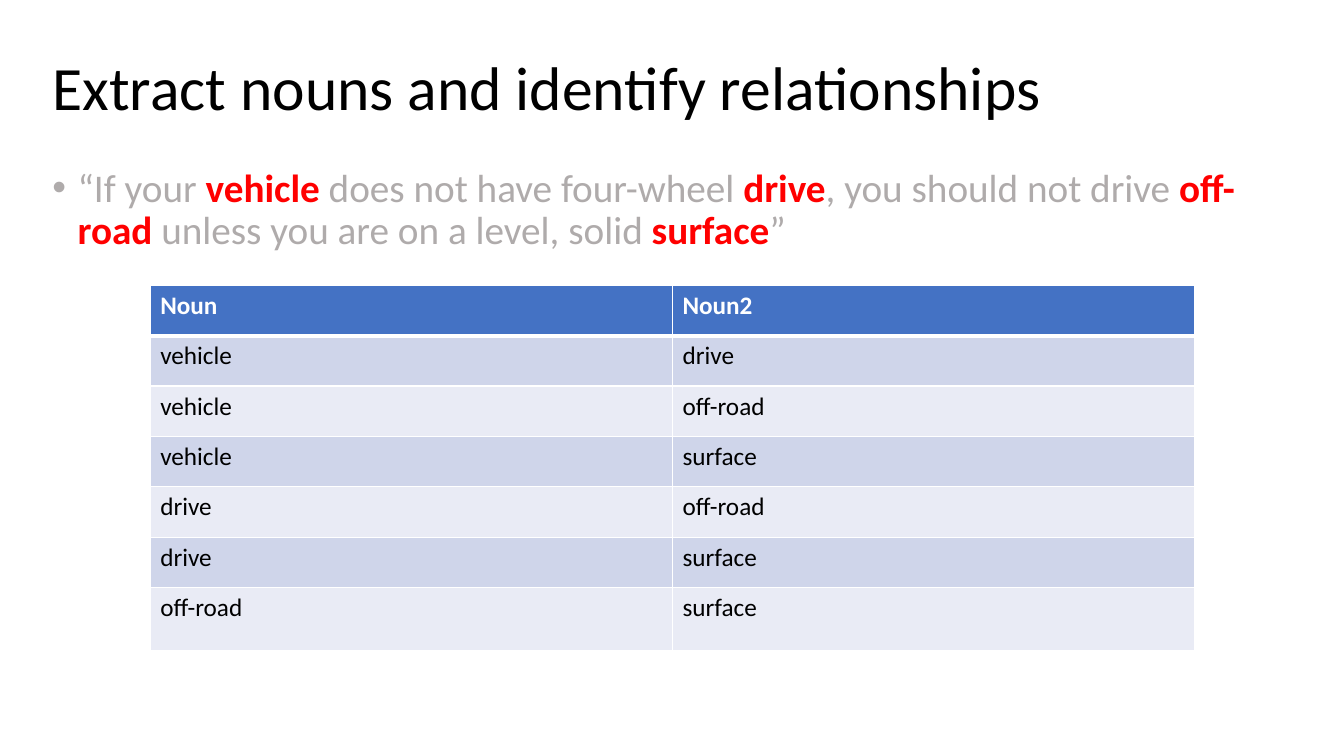
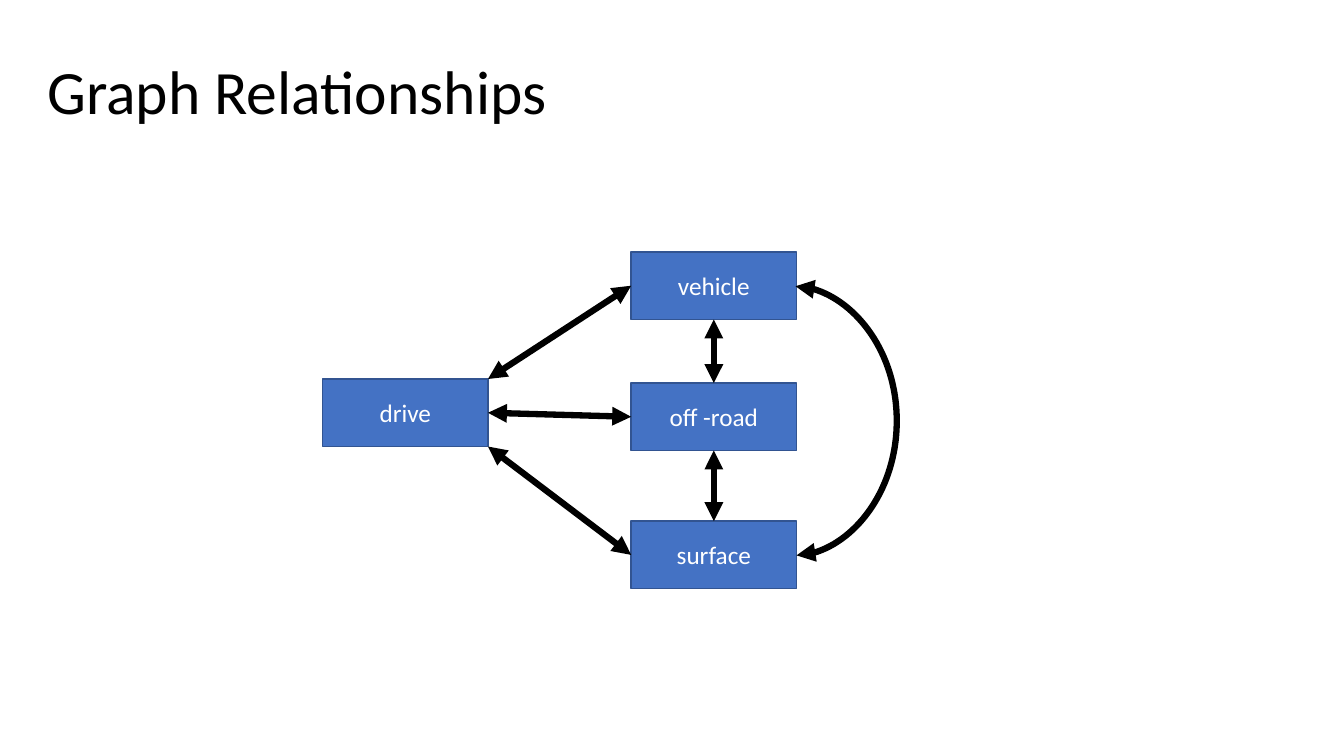
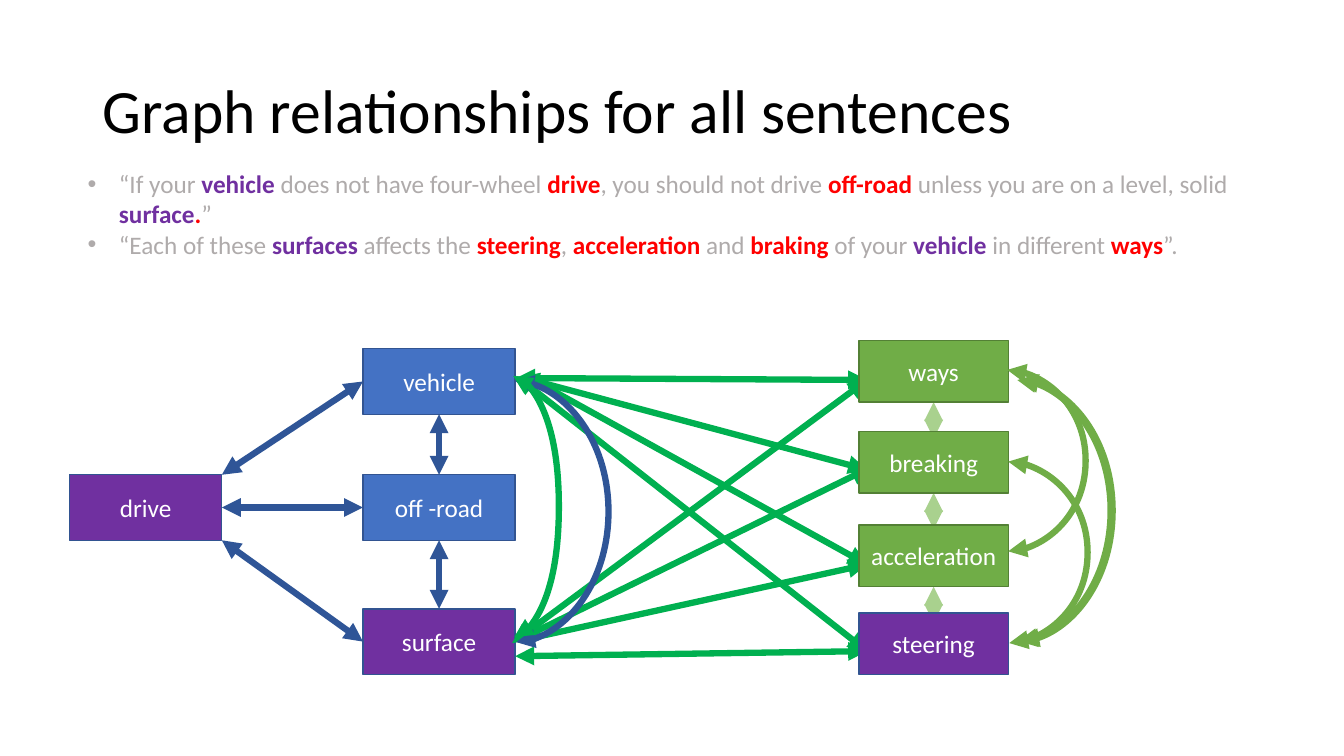
from typing import NamedTuple

from lxml.etree import SubElement
from pptx import Presentation
from pptx.dml.color import RGBColor
from pptx.enum.shapes import MSO_CONNECTOR as Link, MSO_SHAPE as Preset
from pptx.enum.text import MSO_ANCHOR as Anchor, MSO_AUTO_SIZE as AutoSize, PP_ALIGN as Align
from pptx.oxml.ns import qn
from pptx.util import Pt

PX = 9144
FONT = "Calibri"
BLACK, WHITE, GREY, RED = "000000", "FFFFFF", "AFABAB", "FF0000"
BLUE, NAVY, NAVY_EDGE, PURPLE = "4472C4", "2F5597", "325491", "7030A0"
GREEN, LEAF, LEAF_EDGE, PALE_LEAF = "00B050", "70AD47", "538035", "A9D18E"
BANDS = ("E9EBF5", "CFD5EA")
TOP, LEFT, BOTTOM, RIGHT = range(4)
TITLE_ONLY, TITLE_AND_BODY = 5, 1


class Port(NamedTuple):
    """The middle of one side of a node."""
    node: object
    side: int


def px(*lengths):
    """Turn px lengths into EMU."""
    return [length * PX for length in lengths]


def rgb(code):
    """Turn a hex string into a colour."""
    return RGBColor.from_string(code)


def place(shape, left, top, width, height):
    """Move and size a shape."""
    shape.left, shape.top, shape.width, shape.height = px(left, top, width, height)


def add_run(paragraph, text, size, colour, bold=False):
    """Append one formatted run."""
    run = paragraph.add_run()
    run.text = text
    font = run.font
    font.name, font.size, font.bold = FONT, Pt(size), bold
    font.color.rgb = rgb(colour)


def new_slide(deck, layout, title, left, top):
    """Add a slide with its title in the shared style."""
    slide = deck.slides.add_slide(deck.slide_layouts[layout])
    heading = slide.shapes.title
    place(heading, left, top, 1150, 145)
    frame = heading.text_frame
    frame.auto_size, frame.vertical_anchor = AutoSize.NONE, Anchor.MIDDLE
    paragraph = frame.paragraphs[0]
    paragraph.alignment, paragraph.line_spacing = Align.LEFT, 0.9
    add_run(paragraph, title, 44, BLACK)
    return slide


def fill_body(slide, box, sentences, size, indent, spacing, before):
    """Write bulleted sentences whose coloured words are bold."""
    body = slide.placeholders[1]
    place(body, *box)
    frame = body.text_frame
    frame.auto_size, frame.vertical_anchor = AutoSize.NONE, Anchor.TOP
    for index, sentence in enumerate(sentences):
        paragraph = frame.add_paragraph() if index else frame.paragraphs[0]
        paragraph.line_spacing, paragraph.space_before = spacing, Pt(before)
        margins = paragraph._p.get_or_add_pPr()
        margins.set("marL", str(indent * PX))
        margins.set("indent", str(-indent * PX))
        for text, colour in sentence:
            add_run(paragraph, text, size, colour, colour != GREY)


def off_road_sentence(shared_colour, stop=()):
    """Give the first sentence, with the colour of its shared nouns."""
    return [("“If your ", GREY), ("vehicle", shared_colour),
            (" does not have four-wheel ", GREY), ("drive", RED),
            (", you should not drive ", GREY), ("off-road", RED),
            (" unless you are on a level, solid ", GREY),
            ("surface", shared_colour), *stop, ("”", GREY)]


def add_borders(cell, widths):
    """Draw white borders of the given widths in points."""
    properties = cell._tc.get_or_add_tcPr()
    for side, width in zip("LRTB", widths):
        border = SubElement(properties, qn(f"a:ln{side}"), w=str(Pt(width)))
        solid = SubElement(border, qn("a:solidFill"))
        SubElement(solid, qn("a:srgbClr"), val=WHITE)


def add_noun_table(slide, pairs, left, top, column_width, heights):
    """Add the banded table of noun pairs."""
    table = slide.shapes.add_table(
        len(pairs), 2, *px(left, top, 2 * column_width, sum(heights))).table
    for column in table.columns:
        column.width = column_width * PX
    for index, (pair, height) in enumerate(zip(pairs, heights)):
        table.rows[index].height = height * PX
        header = index == 0
        for cell, noun in zip(table.rows[index].cells, pair):
            add_borders(cell, (1, 1, 3 if index == 1 else 1, 3 if header else 1))
            cell.fill.solid()
            cell.fill.fore_color.rgb = rgb(BLUE if header else BANDS[index % 2])
            add_run(cell.text_frame.paragraphs[0], noun, 18,
                    WHITE if header else BLACK, header)


def add_node(slide, noun, box, fill=BLUE, edge=NAVY_EDGE):
    """Add a rectangle that holds a noun."""
    node = slide.shapes.add_shape(Preset.RECTANGLE, *px(*box))
    node.shadow.inherit = False
    node.fill.solid()
    node.fill.fore_color.rgb = rgb(fill)
    node.line.color.rgb = rgb(edge)
    node.line.width = Pt(1)
    frame = node.text_frame
    frame.vertical_anchor = Anchor.MIDDLE
    frame.paragraphs[0].alignment = Align.CENTER
    add_run(frame.paragraphs[0], noun, 18, WHITE)
    return node


def add_arrow(slide, start, end, colour, kind=Link.STRAIGHT):
    """Add a two-headed arrow between points or ports."""
    points = [(0, 0) if isinstance(stop, Port) else stop for stop in (start, end)]
    arrow = slide.shapes.add_connector(kind, *px(*points[0], *points[1]))
    if isinstance(start, Port):
        arrow.begin_connect(*start)
    if isinstance(end, Port):
        arrow.end_connect(*end)
    arrow.line.color.rgb = rgb(colour)
    arrow.line.width = Pt(4.5)
    properties = arrow._element.spPr
    line = properties.find(qn("a:ln"))
    for tip in ("a:headEnd", "a:tailEnd"):
        SubElement(line, qn(tip), type="triangle")
    SubElement(properties, qn("a:effectLst"))
    return arrow


def add_arc(slide, left, top, height, bulge, colour):
    """Add a curved arrow that bulges to the right."""
    arc = add_arrow(slide, (left, top), (left + 1, top + height), colour, Link.CURVE)
    guides = arc._element.spPr.find(qn("a:prstGeom")).get_or_add_avLst()
    SubElement(guides, qn("a:gd"), name="adj1", fmla=f"val {bulge * 100000}")


def add_vehicle_graph(slide, size, drive_at, column_left, tops, colour, shared_fill=BLUE):
    """Add the four nouns of the first sentence with their arrows and return surface."""
    fills = (BLUE, BLUE, shared_fill)
    vehicle, off_road, surface = [
        add_node(slide, noun, (column_left, top, *size), fill)
        for noun, top, fill in zip(("vehicle", "off -road", "surface"), tops, fills)]
    drive = add_node(slide, "drive", (*drive_at, *size), shared_fill)
    drive_right, drive_bottom = (at + length for at, length in zip(drive_at, size))
    for start, end in (((drive_right, drive_at[1]), Port(vehicle, LEFT)),
                       (Port(drive, RIGHT), Port(off_road, LEFT)),
                       ((drive_right, drive_bottom), Port(surface, LEFT)),
                       (Port(off_road, TOP), Port(vehicle, BOTTOM)),
                       (Port(surface, TOP), Port(off_road, BOTTOM))):
        add_arrow(slide, start, end, colour)
    return surface


def build_nouns(deck):
    """Build the slide of extracted nouns."""
    slide = new_slide(deck, TITLE_AND_BODY,
                      "Extract nouns and identify relationships", 42, 17)
    fill_body(slide, (42, 162, 1227, 549), [off_road_sentence(RED)], 28, 25, 0.9, 10)
    pairs = [("Noun", "Noun2"), ("vehicle", "drive"), ("vehicle", "off-road"),
             ("vehicle", "surface"), ("drive", "off-road"), ("drive", "surface"),
             ("off-road", "surface")]
    add_noun_table(slide, pairs, 149, 283, 518, [50] * 6 + [62])


def build_graph(deck):
    """Build the graph of one sentence."""
    slide = new_slide(deck, TITLE_ONLY, "Graph Relationships", 37, 21)
    add_vehicle_graph(slide, (164, 67), (320, 376), 626, (250, 380, 517), BLACK)
    add_arc(slide, 789, 284, 267, 102, BLACK)


def build_full_graph(deck):
    """Build the graph that joins both sentences."""
    slide = new_slide(deck, TITLE_AND_BODY,
                      "Graph relationships for all sentences", 92, 40)
    second_sentence = [
        ("“Each of these ", GREY), ("surfaces", PURPLE), (" affects the ", GREY),
        ("steering", RED), (", ", GREY), ("acceleration", RED), (" and ", GREY),
        ("braking", RED), (" of your ", GREY), ("vehicle", PURPLE),
        (" in different ", GREY), ("ways", RED), ("”.", GREY)]
    fill_body(slide, (77, 162, 1238, 131),
              [off_road_sentence(PURPLE, [(".", RED)]), second_sentence], 18, 31, 1.0, 0)
    surface = add_vehicle_graph(slide, (151, 65), (69, 471), 360, (346, 471, 604),
                                NAVY, PURPLE)

    surface_port = Port(surface, RIGHT)
    for start, end in (((511, 651), (860, 646)), (surface_port, (860, 560)),
                       (surface_port, (863, 464)), ((508, 638), (860, 377)),
                       ((512, 375), (860, 377)), ((516, 374), (860, 466)),
                       ((520, 372), (860, 560)), ((512, 373), (860, 646))):
        add_arrow(slide, start, end, GREEN)
    add_arc(slide, 511, 378, 259, 94, NAVY)
    short_arrows = [add_arrow(slide, (926, low), (926, low - 36), PALE_LEAF)
                    for low in (435, 525, 618)]
    add_arc(slide, 1011, 377, 259, 94, LEAF)
    add_arc(slide, 509, 373, 259, 46, GREEN)
    add_arc(slide, 1009, 377, 259, 94, LEAF)

    effects = [add_node(slide, noun, (852, top, 148, 61), LEAF, LEAF_EDGE)
               for noun, top in (("ways", 338), ("breaking", 428), ("acceleration", 521))]
    add_node(slide, "steering", (852, 608, 148, 61), PURPLE)
    for arrow, effect in zip(short_arrows, effects):
        arrow.end_connect(effect, BOTTOM)
    add_arc(slide, 1000, 458, 180, 80, LEAF)
    add_arc(slide, 999, 367, 180, 79, LEAF)


def main():
    """Build and save the deck."""
    deck = Presentation()
    deck.slide_width, deck.slide_height = px(1333, 750)
    build_nouns(deck)
    build_graph(deck)
    build_full_graph(deck)
    deck.save("out.pptx")


if __name__ == "__main__":
    main()
